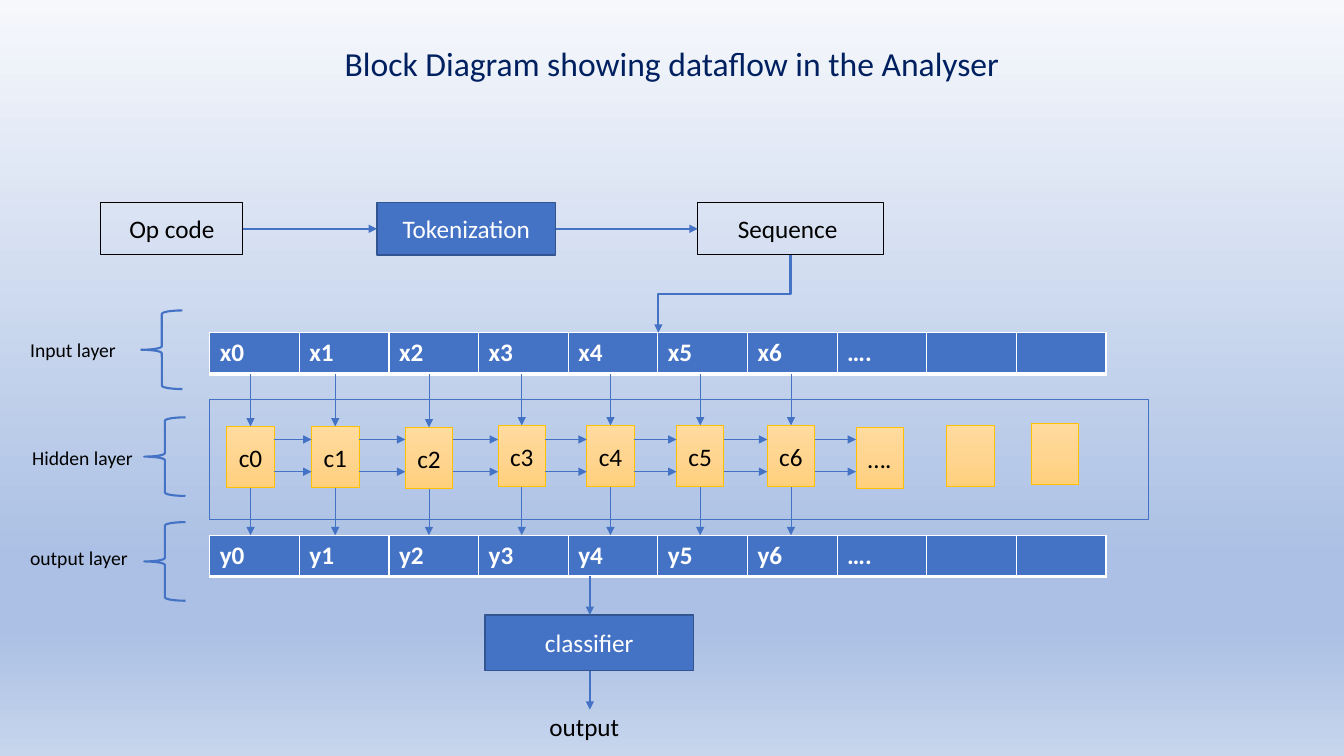
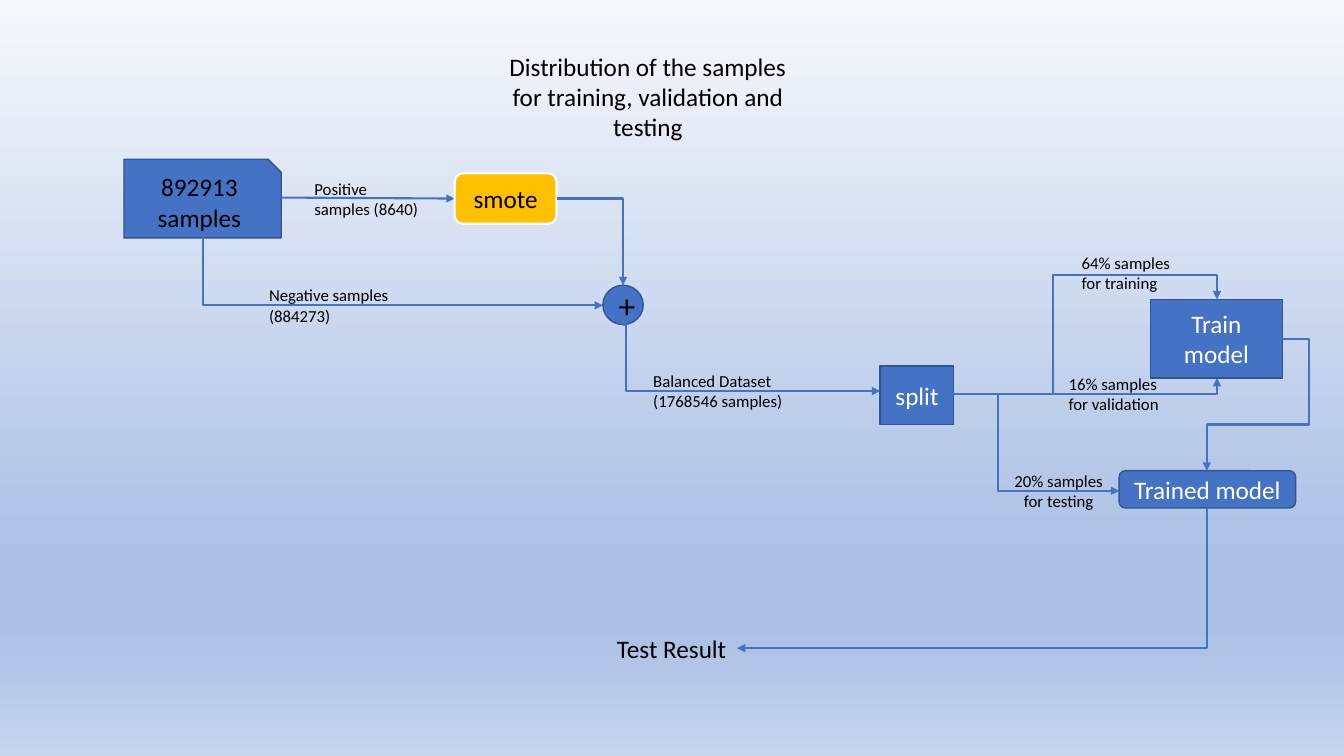
from typing import NamedTuple, Optional

from lxml.etree import SubElement
from pptx import Presentation
from pptx.dml.color import RGBColor
from pptx.enum.shapes import MSO_CONNECTOR, MSO_SHAPE
from pptx.enum.text import MSO_ANCHOR, PP_ALIGN
from pptx.oxml.ns import qn
from pptx.slide import Slide
from pptx.util import Inches, Pt

# Shared look
FONT = "Calibri"
BLUE = RGBColor(0x44, 0x72, 0xC4)
EDGE = RGBColor(0x32, 0x54, 0x91)
NAVY = RGBColor(0x00, 0x20, 0x60)
GOLD = RGBColor(0xFF, 0xC0, 0x00)
BLACK = RGBColor(0, 0, 0)
WHITE = RGBColor(0xFF, 0xFF, 0xFF)
SKY = [(0, "F6F8FC"), (74, "ABC0E4"), (83, "ABC0E4"), (100, "C7D5ED")]
AMBER = [(0, "FFDB9E"), (50, "FFD590"), (100, "FFD07C")]
LEFT, MID = PP_ALIGN.LEFT, PP_ALIGN.CENTER


class Box(NamedTuple):
    x: float
    y: float
    w: float
    h: float
    text: str = ""
    kind: MSO_SHAPE = MSO_SHAPE.RECTANGLE
    fill: Optional[RGBColor] = BLUE
    line: RGBColor = EDGE
    width: float = 1
    ink: RGBColor = WHITE
    size: float = 18


class Label(NamedTuple):
    x: float
    y: float
    w: float
    h: float
    text: str
    size: float = 18
    align: PP_ALIGN = LEFT
    ink: RGBColor = BLACK


class Arrow(NamedTuple):
    x1: float
    y1: float
    x2: float
    y2: float
    width: float = 1.5


class Elbow(NamedTuple):
    x1: float
    y1: float
    x2: float
    y2: float
    legs: int = 2
    down: bool = False
    bends: tuple[float, ...] = ()


def blend(owner, fill, stops: list) -> None:
    """Fill the owner from top to bottom with the given colour stops."""
    fill.gradient()
    fill.gradient_angle = 270
    ramp = owner.find(".//" + qn("a:gsLst"))
    for stop in list(ramp):
        ramp.remove(stop)
    for spot, tone in stops:
        stop = SubElement(ramp, qn("a:gs"), pos=str(spot * 1000))
        SubElement(stop, qn("a:srgbClr"), val=tone)


def style(frame, size: float, ink: RGBColor, align: PP_ALIGN, bold: bool = False) -> None:
    for para in frame.paragraphs:
        para.alignment = align
        for run in para.runs:
            font = run.font
            font.name, font.size, font.bold = FONT, Pt(size), bold
            font.color.rgb = ink


def draw_box(slide: Slide, box: Box):
    shape = slide.shapes.add_shape(box.kind, *map(Inches, box[:4]))
    shape.shadow.inherit = False
    if box.fill is None:
        shape.fill.background()
    else:
        shape.fill.solid()
        shape.fill.fore_color.rgb = box.fill
    shape.line.color.rgb = box.line
    shape.line.width = Pt(box.width)
    if box.text:
        frame = shape.text_frame
        frame.text = box.text
        frame.word_wrap = True
        frame.vertical_anchor = MSO_ANCHOR.MIDDLE
        style(frame, box.size, box.ink, MID)
    return shape


def draw_label(slide: Slide, label: Label) -> None:
    frame = slide.shapes.add_textbox(*map(Inches, label[:4])).text_frame
    frame.text = label.text
    frame.word_wrap = True
    style(frame, label.size, label.ink, label.align)


def draw_line(slide: Slide, kind: MSO_CONNECTOR, ends: tuple, width: float):
    line = slide.shapes.add_connector(kind, *map(Inches, ends))
    line.line.color.rgb = BLUE
    line.line.width = Pt(width)
    props = line.element.spPr
    SubElement(props.find(qn("a:ln")), qn("a:tailEnd"), type="triangle")
    SubElement(props, qn("a:effectLst"))
    return props


def draw_arrow(slide: Slide, arrow: Arrow) -> None:
    draw_line(slide, MSO_CONNECTOR.STRAIGHT, arrow[:4], arrow.width)


def draw_elbow(slide: Slide, elbow: Elbow) -> None:
    x1, y1, x2, y2 = ends = elbow[:4]
    turn = 0
    if elbow.down:
        # A route that starts downward is a level one, turned about its centre
        mid_x, mid_y = (x1 + x2) / 2, (y1 + y2) / 2
        half_w, half_h = (y2 - y1) / 2, abs(x2 - x1) / 2
        turn = 270 if x2 > x1 else 90
        side = -half_w if x2 > x1 else half_w
        ends = (mid_x - side, mid_y - half_h, mid_x + side, mid_y + half_h)
    props = draw_line(slide, MSO_CONNECTOR.ELBOW, ends, 1.5)
    if turn:
        props.find(qn("a:xfrm")).set("rot", str(turn * 60000))
    form = props.find(qn("a:prstGeom"))
    form.set("prst", f"bentConnector{elbow.legs}")
    guides = form.find(qn("a:avLst"))
    if guides is None:
        guides = SubElement(form, qn("a:avLst"))
    for spot, bend in enumerate(elbow.bends, 1):
        SubElement(guides, qn("a:gd"), name=f"adj{spot}", fmla=f"val {round(bend * 100000)}")


def draw_row(slide: Slide, top: float, texts: list[str]) -> None:
    """Draw a one-row table with white rules, thick below."""
    area = map(Inches, (2.08, top, 8.89, 0.41))
    table = slide.shapes.add_table(1, len(texts), *area).table
    for cell, text in zip(table.iter_cells(), texts):
        cell.text = text
        style(cell.text_frame, 18, WHITE, LEFT, True)
        props = cell._tc.get_or_add_tcPr()
        for side, width in (("L", 1), ("R", 1), ("T", 1), ("B", 3)):
            rule = SubElement(props, qn(f"a:ln{side}"), w=str(int(Pt(width))))
            SubElement(SubElement(rule, qn("a:solidFill")), qn("a:srgbClr"), val=str(WHITE))
        cell.fill.solid()
        cell.fill.fore_color.rgb = BLUE


DRAW = {Box: draw_box, Label: draw_label, Arrow: draw_arrow, Elbow: draw_elbow}


def draw_all(slide: Slide, items: list) -> None:
    for item in items:
        DRAW[type(item)](slide, item)


def build_flow(slide: Slide) -> None:
    # Title and first steps
    plain = {"fill": None, "line": BLACK, "width": 0.75, "ink": BLACK}
    draw_all(slide, [
        Label(3.09, 0.38, 7.15, 0.5, "Block Diagram showing dataflow in the Analyser", 24, MID, NAVY),
        Box(1, 2.01, 1.41, 0.52, "Op code", **plain),
        Box(3.74, 2.01, 1.77, 0.52, "Tokenization"),
        Box(6.92, 2.01, 1.84, 0.52, "Sequence ", **plain),
        Arrow(2.41, 2.27, 3.74, 2.27),
        Arrow(5.51, 2.27, 6.92, 2.27),
    ])

    # Input and output rows
    for top, name in ((3.3, "x"), (5.31, "y")):
        draw_row(slide, top, [f"{name}{n}" for n in range(7)] + ["….", "", ""])
    draw_elbow(slide, Elbow(7.84, 2.53, 6.53, 3.3, 3, True))

    # Hidden cells and their arrows
    wide, high, count = 0.47, 0.61, 7
    lefts = [2.25, 3.09, 4.02, 4.94, 5.82, 6.71, 7.61, 8.49, 9.39, 10.23]
    tops = [4.23, 4.23, 4.24] + [4.22] * 4 + [4.24, 4.22, 4.2]
    texts = [f"c{n}" for n in range(count)] + ["….", "", ""]
    for left, top, text in zip(lefts, tops, texts):
        cell = draw_box(slide, Box(left, top, wide, high, text, line=GOLD, width=0.5, ink=BLACK))
        blend(cell.element, cell.fill, AMBER)
    for left, top, after in zip(lefts[:count], tops, lefts[1:]):
        mid = left + wide / 2
        draw_all(slide, [
            Arrow(left + wide, 4.36, after, 4.36, 0.5),
            Arrow(left + wide, 4.68, after, 4.68, 0.5),
            Arrow(mid, 3.71, mid, top, 0.5),
            Arrow(mid, top + high, mid, 5.31, 0.5),
        ])

    # Layer names, braces and result
    for x, y in ((1.4, 3.08), (1.43, 4.14), (1.43, 5.18)):
        draw_box(slide, Box(x, y, 0.41, 0.78, "", MSO_SHAPE.LEFT_BRACE, None, BLUE, 1.5))
    draw_all(slide, [
        Label(0.2, 3.3, 1.11, 0.34, "Input layer", 14),
        Label(0.2, 5.37, 1.23, 0.34, "output layer", 14),
        Label(0.22, 4.37, 1.31, 0.34, "Hidden layer", 14),
        Box(4.81, 6.1, 2.07, 0.55, "classifier"),
        Arrow(5.85, 5.71, 5.85, 6.1),
        Arrow(5.85, 6.66, 5.85, 7.04),
        Label(5.35, 7.01, 1.12, 0.4, "output"),
        Box(2.08, 3.96, 9.31, 1.19, fill=None, line=BLUE, width=0.75),
    ])


def build_split(slide: Slide) -> None:
    round_box = MSO_SHAPE.ROUNDED_RECTANGLE
    draw_all(slide, [
        # Samples and balance
        Box(1.23, 1.58, 1.56, 0.78, "892913 samples", MSO_SHAPE.SNIP_1_RECTANGLE, ink=BLACK),
        Arrow(2.79, 1.96, 4.51, 1.97),
        Label(3.02, 1.72, 1.27, 0.5, "Positive samples (8640)", 12),
        Elbow(2.01, 2.35, 5.98, 3.03, down=True),
        Label(2.57, 2.78, 1.42, 0.5, "Negative samples (884273)", 12),
        Box(4.51, 1.72, 1.01, 0.5, "smote", round_box, GOLD, WHITE, 1.5, BLACK),
        Box(5.98, 2.83, 0.4, 0.39, "+", MSO_SHAPE.OVAL, ink=BLACK, size=24),
        Elbow(5.52, 1.97, 6.18, 2.83),
        Elbow(6.18, 3.22, 8.73, 3.88, 3, bends=(0.01,)),
        Label(6.38, 3.63, 1.65, 0.5, "Balanced Dataset (1768546 samples)", 12),
        # Split into three shares
        Box(8.73, 3.63, 0.73, 0.58, "split"),
        Elbow(9.45, 3.91, 12.07, 2.97, 4, bends=(0.38, 1.26)),
        Elbow(9.45, 3.91, 11.1, 4.87, 3, bends=(0.27,)),
        Elbow(9.45, 3.91, 12.07, 3.75),
        Box(11.41, 2.97, 1.31, 0.78, "Train model"),
        Label(10.63, 2.46, 1.2, 0.5, "64% samples for training", 12),
        Label(10.5, 3.66, 1.2, 0.5, "16% samples for validation", 12),
        # Trained model and result
        Box(11.1, 4.67, 1.75, 0.37, "Trained model", round_box),
        Elbow(12.73, 3.36, 11.97, 4.67, 4, bends=(-0.33, 0.65)),
        Label(9.9, 4.62, 1.2, 0.5, "20% samples for testing", 12, MID),
        Elbow(11.97, 5.04, 7.31, 6.43, down=True),
        Label(6.02, 6.23, 1.34, 0.4, "Test Result"),
        Label(4.82, 0.46, 3.21, 1.01,
              "Distribution of the samples for training, validation and testing", align=MID),
    ])


deck = Presentation()
deck.slide_width, deck.slide_height = Inches(13.33), Inches(7.5)
master = deck.slide_master
blend(master.element, master.background.fill, SKY)
for build in (build_flow, build_split):
    build(deck.slides.add_slide(deck.slide_layouts[6]))
deck.save("out.pptx")
